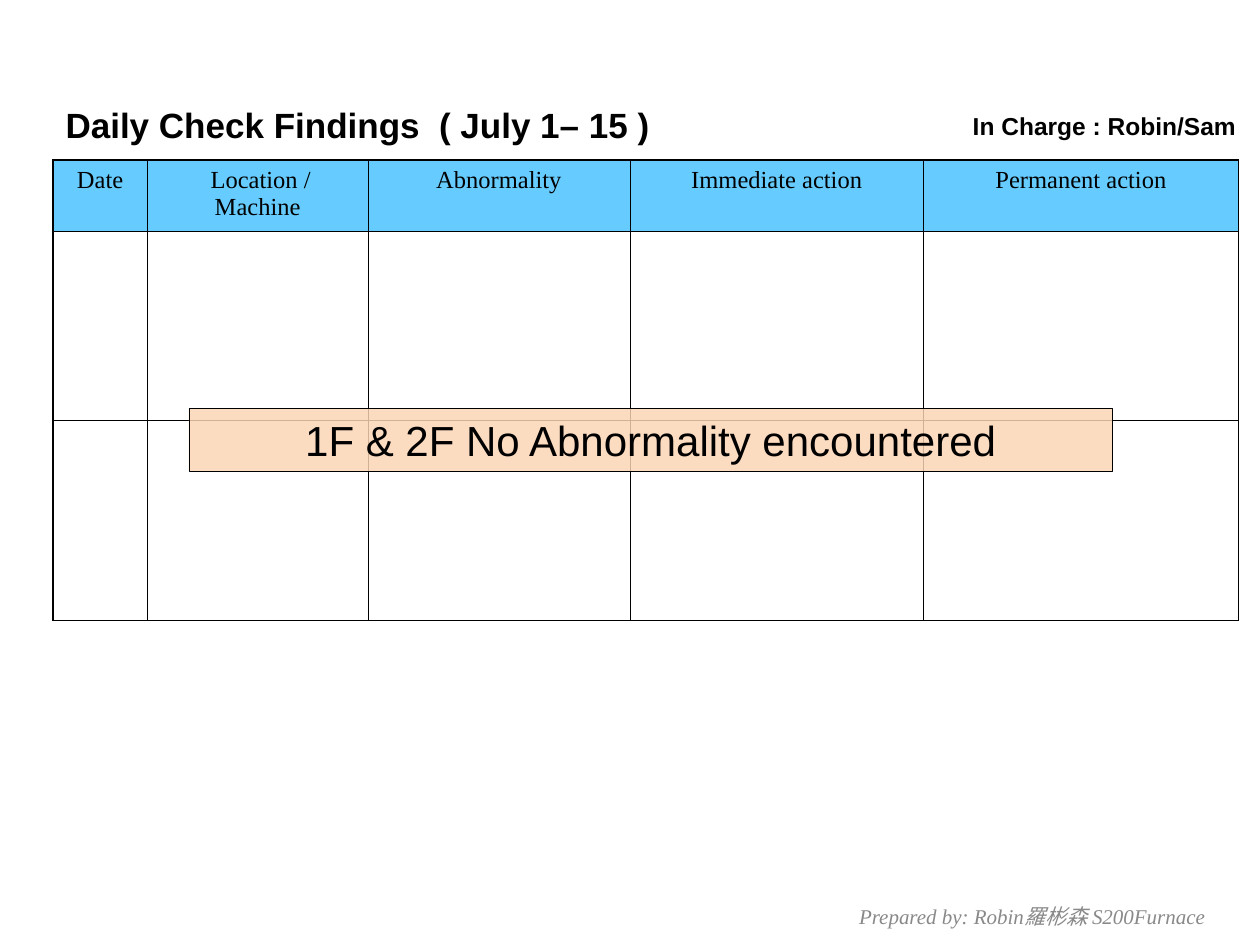
from lxml import etree
from pptx import Presentation
from pptx.dml.color import RGBColor
from pptx.enum.shapes import MSO_SHAPE
from pptx.enum.text import MSO_ANCHOR, MSO_AUTO_SIZE, PP_ALIGN
from pptx.oxml.ns import qn
from pptx.util import Inches, Pt

LEFT, CENTER, RIGHT = PP_ALIGN.LEFT, PP_ALIGN.CENTER, PP_ALIGN.RIGHT
TOP, MIDDLE = MSO_ANCHOR.TOP, MSO_ANCHOR.MIDDLE
NO_AUTOFIT = MSO_AUTO_SIZE.NONE
RECTANGLE = MSO_SHAPE.RECTANGLE
TITLE_ONLY = 5

COLORS = {
    "ink": "000000",
    "header": "66CCFF",
    "banner": "FCD5B5",
    "footer": "898989",
}
SANS, SERIF = "Arial", "Times New Roman"
THIN, THICK = 0.45, 1.08
HEADINGS = ["Date", " Location / Machine", "Abnormality", "Immediate action", "Permanent action"]
COLUMN_WIDTHS = [0.75, 1.75, 2.08, 2.33, 2.5]
ROW_HEIGHTS = [0.57, 1.5, 1.58]


def color(name):
    return RGBColor.from_string(COLORS[name])


def write(frame, text, size, font, align=LEFT, ink="ink", bold=False, italic=False):
    para = frame.paragraphs[0]
    para.alignment = align
    span = para.add_run()
    span.text = text
    span.font.size = Pt(size)
    span.font.name = font
    span.font.bold = bold
    span.font.italic = italic
    span.font.color.rgb = color(ink)


def set_frame(frame, anchor=TOP):
    frame.word_wrap = True
    frame.auto_size = NO_AUTOFIT
    frame.vertical_anchor = anchor
    frame.margin_left = frame.margin_right = Inches(0.1)
    frame.margin_top = frame.margin_bottom = Inches(0.05)


def add_title(page, left, top, width, height):
    title = page.shapes.title
    title.left, title.top = Inches(left), Inches(top)
    title.width, title.height = Inches(width), Inches(height)
    set_frame(title.text_frame)
    write(title.text_frame, "Daily Check Findings  ( July 1– 15 )", 20, SANS, bold=True)


def add_label(page, left, top, width, height, text, size, font, anchor=TOP, **style):
    box = page.shapes.add_textbox(Inches(left), Inches(top), Inches(width), Inches(height))
    set_frame(box.text_frame, anchor)
    write(box.text_frame, text, size, font, **style)


def set_borders(cell, widths):
    properties = cell._tc.get_or_add_tcPr()
    for position, (side, width) in enumerate(widths.items()):
        line = etree.Element(qn(f"a:{side}"), w=str(Pt(width)))
        fill = etree.SubElement(line, qn("a:solidFill"))
        etree.SubElement(fill, qn("a:srgbClr"), val=COLORS["ink"])
        properties.insert(position, line)


def add_findings_table(page, left, top, width, height):
    rows, columns = len(ROW_HEIGHTS), len(COLUMN_WIDTHS)
    table = page.shapes.add_table(
        rows, columns, Inches(left), Inches(top), Inches(width), Inches(height)
    ).table
    table.first_row = table.horz_banding = False
    for column, column_width in zip(table.columns, COLUMN_WIDTHS):
        column.width = Inches(column_width)
    for row, row_height in zip(table.rows, ROW_HEIGHTS):
        row.height = Inches(row_height)
    for r in range(rows):
        for c in range(columns):
            cell = table.cell(r, c)
            if r == 0:
                cell.fill.solid()
                cell.fill.fore_color.rgb = color("header")
                write(cell.text_frame, HEADINGS[c], 14, SERIF, CENTER)
            else:
                cell.fill.background()
            set_borders(cell, {
                "lnL": THICK if c == 0 else THIN,
                "lnR": THICK if c == columns - 1 else THIN,
                "lnT": THICK if r == 0 else THIN,
                "lnB": THIN,
            })


def add_banner(page, left, top, width, height):
    banner = page.shapes.add_shape(
        RECTANGLE, Inches(left), Inches(top), Inches(width), Inches(height)
    )
    banner.shadow.inherit = False
    banner.fill.solid()
    banner.fill.fore_color.rgb = color("banner")
    tint = banner.fill._xPr.find(qn("a:solidFill"))[0]
    etree.SubElement(tint, qn("a:alpha"), val="83000")
    banner.line.color.rgb = color("ink")
    banner.line.width = Pt(0.5)
    set_frame(banner.text_frame)
    write(banner.text_frame, "1F & 2F No Abnormality encountered", 24, SANS, CENTER)


def main():
    deck = Presentation()
    deck.slide_width, deck.slide_height = Inches(10), Inches(7.5)
    page = deck.slides.add_slide(deck.slide_layouts[TITLE_ONLY])
    add_label(page, 6.72, 7.07, 3.17, 0.4, "Prepared by: Robin羅彬森 S200Furnace",
              12, SERIF, MIDDLE, ink="footer", italic=True)
    add_title(page, 0.42, 0.77, 5.83, 0.44)
    add_findings_table(page, 0.42, 1.27, 9.42, 3.65)
    add_label(page, 5.08, 0.83, 4.83, 0.34, "In Charge : Robin/Sam",
              14, SANS, align=RIGHT, bold=True)
    add_banner(page, 1.5, 3.24, 7.33, 0.5)
    deck.save("out.pptx")


if __name__ == "__main__":
    main()
